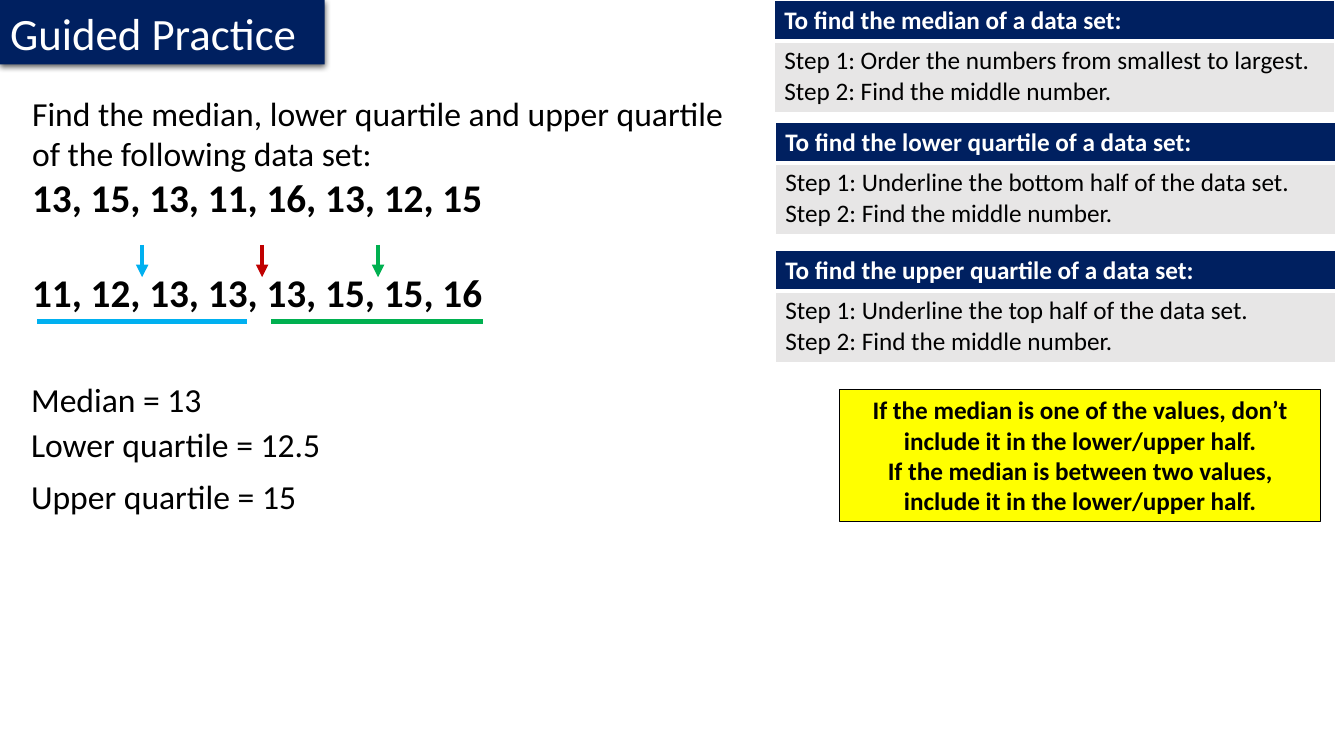
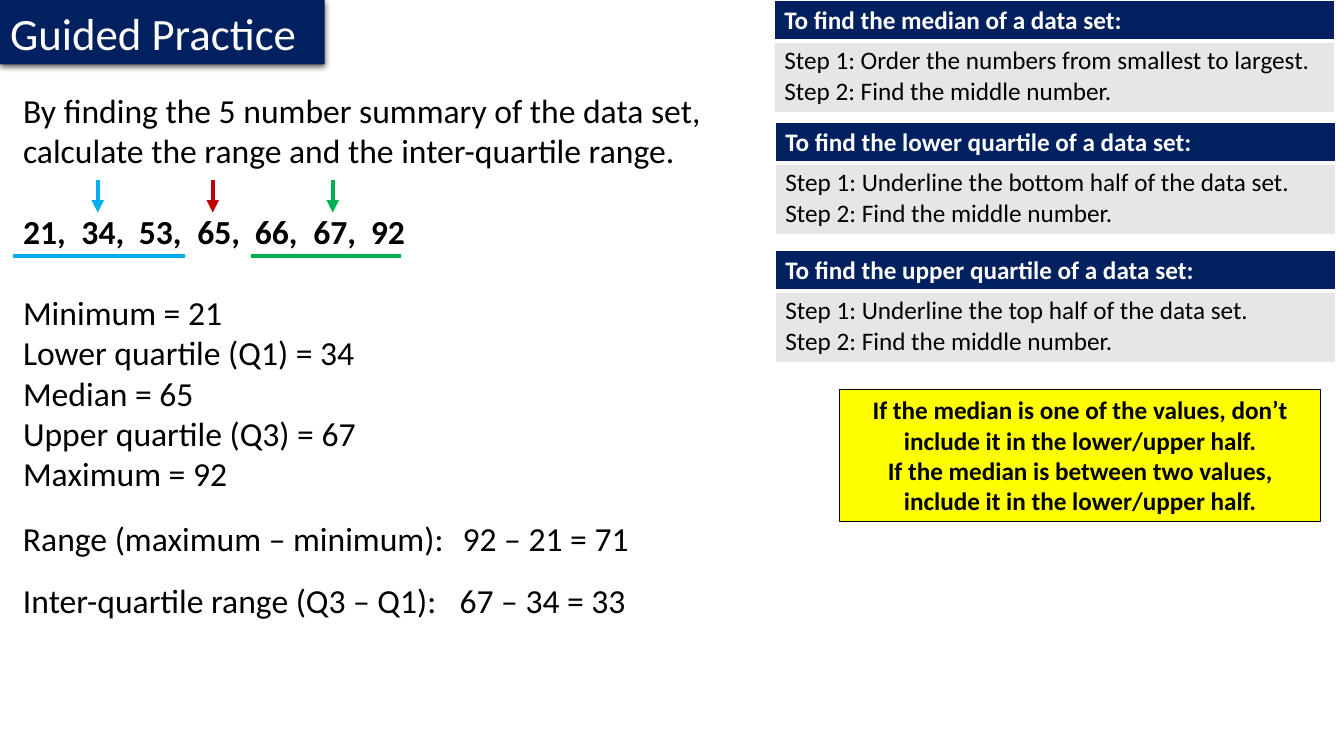
"""Build two guided-practice slides on the median and quartiles of a data set."""
from lxml import etree
from pptx import Presentation
from pptx.dml.color import RGBColor
from pptx.enum.shapes import MSO_CONNECTOR, MSO_SHAPE
from pptx.enum.text import MSO_ANCHOR, MSO_AUTO_SIZE, PP_ALIGN
from pptx.oxml import parse_xml
from pptx.oxml.ns import nsdecls, qn
from pptx.util import Emu, Pt

STRAIGHT = MSO_CONNECTOR.STRAIGHT
RECTANGLE = MSO_SHAPE.RECTANGLE
MIDDLE = MSO_ANCHOR.MIDDLE
NO_FIT, GROW = MSO_AUTO_SIZE.NONE, MSO_AUTO_SIZE.SHAPE_TO_FIT_TEXT
LEFT, CENTER = PP_ALIGN.LEFT, PP_ALIGN.CENTER

NAVY = RGBColor(0x00, 0x20, 0x60)
WHITE = RGBColor(0xFF, 0xFF, 0xFF)
BLACK = RGBColor(0x00, 0x00, 0x00)
GREY = RGBColor(0xE7, 0xE6, 0xE6)
YELLOW = RGBColor(0xFF, 0xFF, 0x00)
RED = RGBColor(0xC0, 0x00, 0x00)
BLUE = RGBColor(0x00, 0xB0, 0xF0)
GREEN = RGBColor(0x00, 0xB0, 0x50)

FONT = "Calibri"
EMU_PER_PX = 9144
TITLE_ONLY = 5
ARROW_LENGTH = 32
TITLE = "Guided Practice"
RULE_WIDTH, RULE_ROWS = 556, (39, 71)
BORDERS = (("lnL", 1), ("lnR", 1), ("lnT", 1), ("lnB", 3))

RULES = [
    (768, 0, "To find the median of a data set:",
     "Step 1: Order the numbers from smallest to largest."),
    (769, 121, "To find the lower quartile of a data set:",
     "Step 1: Underline the bottom half of the data set."),
    (769, 248, "To find the upper quartile of a data set:",
     "Step 1: Underline the top half of the data set."),
]
LAST_STEP = "Step 2: Find the middle number."
NOTE_BOX = (833, 386, 477, 131)
NOTE = [
    "If the median is one of the values, don’t include it in the lower/upper half.",
    "If the median is between two values, include it in the lower/upper half.",
]

# TEXT_ENTRY
SLIDES = [
    {
        "boxes": [
            ((22, 87, 709, 232), [
                ("Find the median, lower quartile and upper quartile of the following data set:",
                 24, False, 0),
                ("13, 15, 13, 11, 16, 13, 12, 15", 28, True, 0),
                ("11, 12, 13, 13, 13, 15, 15, 16", 28, True, 34),
            ]),
            ((21, 371, 497, 50), [("Median = 13", 24, False, 0)]),
            ((21, 416, 497, 50), [("Lower quartile = 12.5", 24, False, 0)]),
            ((21, 467, 497, 50), [("Upper quartile = 15", 24, False, 0)]),
        ],
        "arrow_top": 243,
        "arrows": [(141, BLUE), (260, RED), (375, GREEN)],
        "underline_top": 319,
        "underlines": [(37, 245, BLUE), (269, 479, GREEN)],
    },
    {
        "boxes": [
            ((13, 84, 709, 414), [
                ("By finding the 5 number summary of the data set, "
                 "calculate the range and the inter-quartile range.", 24, False, 0),
                ("21,\t34,\t53,\t65,\t66,\t67,\t92", 24, True, 29),
                ("Minimum = 21", 24, False, 29),
                ("Lower quartile (Q1) = 34", 24, False, 0),
                ("Median = 65", 24, False, 0),
                ("Upper quartile (Q3) = 67", 24, False, 0),
                ("Maximum = 92", 24, False, 0),
            ]),
            ((13, 509, 444, 50), [("Range (maximum – minimum):", 24, False, 0)]),
            ((449, 509, 444, 50), [("92 – 21 = 71", 24, False, 0)]),
            ((13, 570, 444, 50), [("Inter-quartile range (Q3 – Q1):", 24, False, 0)]),
            ((446, 570, 444, 50), [("67 – 34 = 33", 24, False, 0)]),
        ],
        "arrow_top": 179,
        "arrows": [(97, BLUE), (211, RED), (330, GREEN)],
        "underline_top": 254,
        "underlines": [(13, 183, BLUE), (249, 398, GREEN)],
    },
]
TAB_STOPS = (58, 115, 173, 230, 288, 345)


def px(*lengths):
    return [Emu(length * EMU_PER_PX) for length in lengths]


def add_tabs(paragraph):
    tab_list = etree.SubElement(paragraph._p.get_or_add_pPr(), qn("a:tabLst"))
    for position in px(*TAB_STOPS):
        etree.SubElement(tab_list, qn("a:tab"), pos=str(position), algn="l")


def write(frame, lines, color, alignment=LEFT):
    for index, (text, size, bold, space_before) in enumerate(lines):
        paragraph = frame.add_paragraph() if index else frame.paragraphs[0]
        if "\t" in text:
            add_tabs(paragraph)
        paragraph.alignment = alignment
        if space_before:
            paragraph.space_before = Pt(space_before)
        run = paragraph.add_run()
        run.text = text
        run.font.name = FONT
        run.font.size = Pt(size)
        run.font.bold = bold
        run.font.color.rgb = color


def add_title(slide):
    title = slide.shapes.title
    title.left, title.top, title.width, title.height = px(0, 0, 322, 64)
    properties = title._element.spPr
    properties.append(parse_xml(
        f'<a:prstGeom {nsdecls("a")} prst="homePlate"><a:avLst/></a:prstGeom>'))
    title.fill.solid()
    title.fill.fore_color.rgb = NAVY
    properties.append(parse_xml(
        f'<a:effectLst {nsdecls("a")}><a:outerShdw blurRad="57150" dist="19050" '
        'dir="5400000" algn="ctr" rotWithShape="0"><a:srgbClr val="000000">'
        '<a:alpha val="63000"/></a:srgbClr></a:outerShdw></a:effectLst>'))
    frame = title.text_frame
    frame.auto_size = NO_FIT
    frame.word_wrap = False
    frame.vertical_anchor = MIDDLE
    write(frame, [(TITLE, 32, False, 0)], WHITE)


def format_cell(cell, lines, fill, color, bold):
    write(cell.text_frame, [(line, 18, bold, 0) for line in lines], color)
    properties = cell._tc.get_or_add_tcPr()
    for side, width in BORDERS:
        if side == "lnB" and not bold:
            width = 1
        properties.append(parse_xml(
            f'<a:{side} {nsdecls("a")} w="{Pt(width)}"><a:solidFill>'
            f'<a:srgbClr val="{WHITE}"/></a:solidFill></a:{side}>'))
    cell.fill.solid()
    cell.fill.fore_color.rgb = fill


def add_rule(slide, left, top, heading, first_step):
    table = slide.shapes.add_table(
        2, 1, *px(left, top, RULE_WIDTH, sum(RULE_ROWS))).table
    table.horz_banding = False
    for row, height in zip(table.rows, px(*RULE_ROWS)):
        row.height = height
    format_cell(table.cell(0, 0), [heading], NAVY, WHITE, True)
    format_cell(table.cell(1, 0), [first_step, LAST_STEP], GREY, BLACK, False)


def add_note(slide):
    note = slide.shapes.add_shape(RECTANGLE, *px(*NOTE_BOX))
    note.shadow.inherit = False
    note.fill.solid()
    note.fill.fore_color.rgb = YELLOW
    note.line.color.rgb = BLACK
    note.line.width = Pt(0.75)
    note.text_frame.word_wrap = True
    write(note.text_frame, [(line, 18, True, 0) for line in NOTE], BLACK, CENTER)


def add_text(slide, box, lines):
    frame = slide.shapes.add_textbox(*px(*box)).text_frame
    frame.word_wrap = True
    frame.auto_size = GROW
    write(frame, lines, BLACK)


def add_line(slide, ends, color, arrow=False):
    connector = slide.shapes.add_connector(STRAIGHT, *px(*ends))
    connector.line.color.rgb = color
    connector.line.width = Pt(3)
    if arrow:
        etree.SubElement(connector.line._get_or_add_ln(), qn("a:tailEnd"), type="triangle")
    etree.SubElement(connector._element.spPr, qn("a:effectLst"))


def add_practice_slide(presentation, content):
    slide = presentation.slides.add_slide(presentation.slide_layouts[TITLE_ONLY])
    add_title(slide)
    for rule in RULES:
        add_rule(slide, *rule)
    add_note(slide)
    for box, lines in content["boxes"]:
        add_text(slide, box, lines)
    top = content["arrow_top"]
    for x, color in content["arrows"]:
        add_line(slide, (x, top, x, top + ARROW_LENGTH), color, arrow=True)
    top = content["underline_top"]
    for start, end, color in content["underlines"]:
        add_line(slide, (start, top, end, top), color)


def main():
    presentation = Presentation()
    presentation.slide_width, presentation.slide_height = px(1333, 750)
    for content in SLIDES:
        add_practice_slide(presentation, content)
    presentation.save("out.pptx")


if __name__ == "__main__":
    main()
